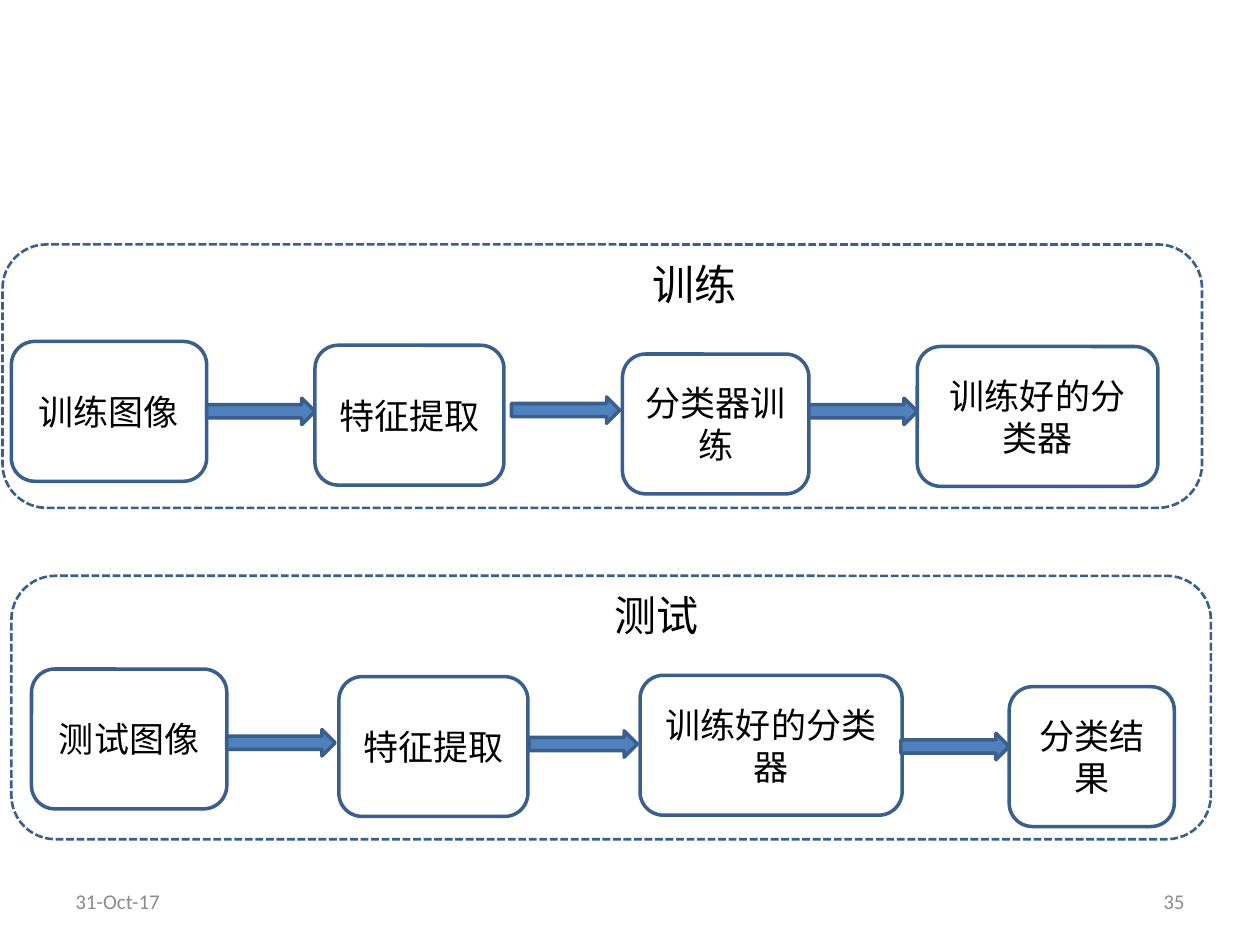
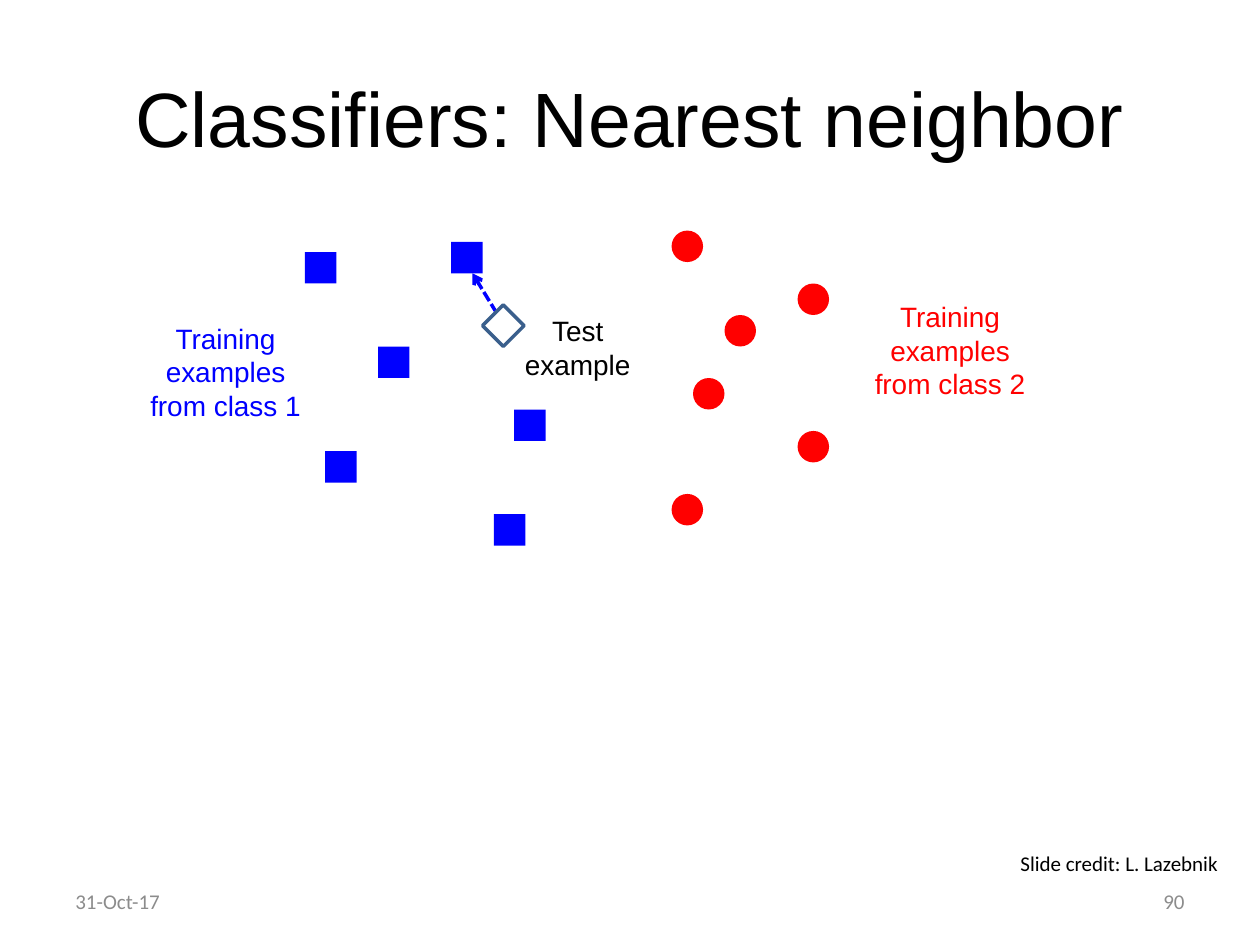
import dataclasses

import pptx
import pptx.dml.color
import pptx.enum.dml
import pptx.enum.shapes
import pptx.enum.text
import pptx.oxml.ns
import pptx.util
from lxml import etree

Inches = pptx.util.Inches
Shape = pptx.enum.shapes.MSO_SHAPE
Align = pptx.enum.text.PP_ALIGN
Anchor = pptx.enum.text.MSO_ANCHOR
Dash = pptx.enum.dml.MSO_LINE


@dataclasses.dataclass(frozen=True)
class Theme:
    black: str = "000000"
    white: str = "FFFFFF"
    gray: str = "8C8C8C"
    outline: str = "3A5F8C"
    arrow: str = "4F81BD"
    class_one: str = "0000FF"
    class_two: str = "FF0000"
    main_font: str = "Arial"
    small_font: str = "Calibri"
    title_size: int = 44
    panel_size: int = 24
    stage_size: int = 20
    label_size: int = 16
    small_size: int = 12
    line: float = 2
    thin_line: float = 1.5


THEME = Theme()


def rgb(color):
    return pptx.dml.color.RGBColor.from_string(color)


def write_text(shape, text, size=THEME.label_size, font=THEME.main_font,
               color=THEME.black, align=Align.LEFT, anchor=Anchor.TOP, wrap=True):
    frame = shape.text_frame
    frame.word_wrap = wrap
    frame.vertical_anchor = anchor
    frame.text = text
    paragraph = frame.paragraphs[0]
    paragraph.alignment = align
    paragraph.font.size = pptx.util.Pt(size)
    paragraph.font.name = font
    paragraph.font.color.rgb = rgb(color)


def add_text(shapes, text, left, top, width, height, **text_format):
    box = shapes.add_textbox(Inches(left), Inches(top), Inches(width), Inches(height))
    write_text(box, text, **text_format)


def style_line(line, color, width, dash=None):
    line.color.rgb = rgb(color)
    line.width = pptx.util.Pt(width)
    if dash:
        line.dash_style = dash


def add_figure(shapes, kind, left, top, width, height, fill=None, line=None,
               line_width=THEME.line, dash=None):
    shape = shapes.add_shape(kind, Inches(left), Inches(top), Inches(width), Inches(height))
    shape.shadow.inherit = False
    if fill:
        shape.fill.solid()
        shape.fill.fore_color.rgb = rgb(fill)
    else:
        shape.fill.background()
    if line:
        style_line(shape.line, line, line_width, dash)
    else:
        shape.line.fill.background()
    return shape


def add_dashed_arrow(shapes, start, end, color):
    connector = shapes.add_connector(pptx.enum.shapes.MSO_CONNECTOR.STRAIGHT,
                                     *(Inches(value) for value in start + end))
    style_line(connector.line, color, THEME.line, Dash.SQUARE_DOT)
    etree.SubElement(connector.line._get_or_add_ln(),
                     pptx.oxml.ns.qn("a:tailEnd"), type="arrow")
    etree.SubElement(connector._element.spPr, pptx.oxml.ns.qn("a:effectLst"))


def add_footer(slide, number):
    for text, left, align in (("31-Oct-17", 0.5, Align.LEFT), (number, 7.17, Align.RIGHT)):
        add_text(slide.shapes, text, left, 6.95, 2.33, 0.4, size=THEME.small_size,
                 font=THEME.small_font, color=THEME.gray, align=align,
                 anchor=Anchor.MIDDLE)


def add_pipeline(slide, left, top, heading, heading_left, stages, arrows):
    shapes = slide.shapes.add_group_shape().shapes
    add_figure(shapes, Shape.ROUNDED_RECTANGLE, left, top, 9.52, 2.09,
               line=THEME.outline, line_width=THEME.thin_line, dash=Dash.SQUARE_DOT)
    for text, stage_left, stage_top, width in stages:
        stage = add_figure(shapes, Shape.ROUNDED_RECTANGLE, left + stage_left,
                           top + stage_top, width, 1.11, line=THEME.outline)
        write_text(stage, text, size=THEME.stage_size, align=Align.CENTER,
                   anchor=Anchor.MIDDLE)
    for arrow_left, arrow_top in arrows:
        add_figure(shapes, Shape.RIGHT_ARROW, left + arrow_left, top + arrow_top,
                   0.86, 0.21, fill=THEME.arrow, line=THEME.outline)
    add_text(shapes, heading, left + heading_left, top + 0.06, 1.25, 0.5,
             size=THEME.panel_size)


def add_training_class(slide, kind, color, points, label, label_left, label_top):
    for left, top in points:
        add_figure(slide.shapes, kind, left, top, 0.25, 0.25, fill=color)
    add_text(slide.shapes, label, label_left, label_top, 1.42, 0.91,
             color=color, align=Align.CENTER)


def add_test_example(slide, left, top):
    add_text(slide.shapes, "Test example", left + 0.17, top + 0.02, 1.17, 0.64,
             align=Align.CENTER)
    add_dashed_arrow(slide.shapes, (left + 0.17, top + 0.16), (left - 0.08, top - 0.25),
                     THEME.class_one)
    add_figure(slide.shapes, Shape.DIAMOND, left, top, 0.33, 0.33,
               fill=THEME.white, line=THEME.outline)


def build_pipeline_slide(presentation):
    slide = presentation.slides.add_slide(presentation.slide_layouts[6])
    add_footer(slide, "35")
    add_pipeline(
        slide, 0.02, 1.94, "训练", 5.06,
        stages=[("训练图像", 0.07, 0.77, 1.55), ("特征提取", 2.48, 0.8, 1.5),
                ("分类器训练", 4.92, 0.87, 1.48), ("训练好的分类器", 7.26, 0.81, 1.91)],
        arrows=[(1.62, 1.22), (4.04, 1.21), (6.4, 1.22)])
    add_pipeline(
        slide, 0.09, 4.57, "测试", 4.69,
        stages=[("测试图像", 0.16, 0.74, 1.55), ("特征提取", 2.6, 0.8, 1.5),
                ("训练好的分类器", 4.99, 0.79, 2.08), ("分类结果", 7.92, 0.88, 1.31)],
        arrows=[(1.71, 1.22), (4.11, 1.23), (7.06, 1.25)])


def build_neighbor_slide(presentation):
    slide = presentation.slides.add_slide(presentation.slide_layouts[5])
    title = slide.shapes.title
    title.left, title.top, title.width, title.height = (
        Inches(value) for value in (0.5, 0.3, 9, 1.25))
    write_text(title, "Classifiers: Nearest neighbor", size=THEME.title_size,
               align=Align.CENTER, anchor=Anchor.MIDDLE)
    add_training_class(
        slide, Shape.RECTANGLE, THEME.class_one,
        [(2.42, 2), (3, 2.75), (3.58, 1.92), (2.58, 3.58), (4.08, 3.25), (3.92, 4.08)],
        "Training examples from class 1", 1.08, 2.5)
    add_training_class(
        slide, Shape.OVAL, THEME.class_two,
        [(6.33, 2.25), (5.5, 3), (6.33, 3.42), (5.33, 1.83), (5.75, 2.5), (5.33, 3.92)],
        "Training examples from class 2", 6.83, 2.33)
    add_test_example(slide, 3.83, 2.42)
    add_text(slide.shapes, "Slide credit: L. Lazebnik", 8, 6.7, 1.79, 0.3,
             size=THEME.small_size, font=THEME.small_font, wrap=False)
    add_footer(slide, "90")


def main():
    presentation = pptx.Presentation()
    presentation.slide_width = Inches(10)
    presentation.slide_height = Inches(7.5)
    build_pipeline_slide(presentation)
    build_neighbor_slide(presentation)
    presentation.save("out.pptx")


if __name__ == "__main__":
    main()
